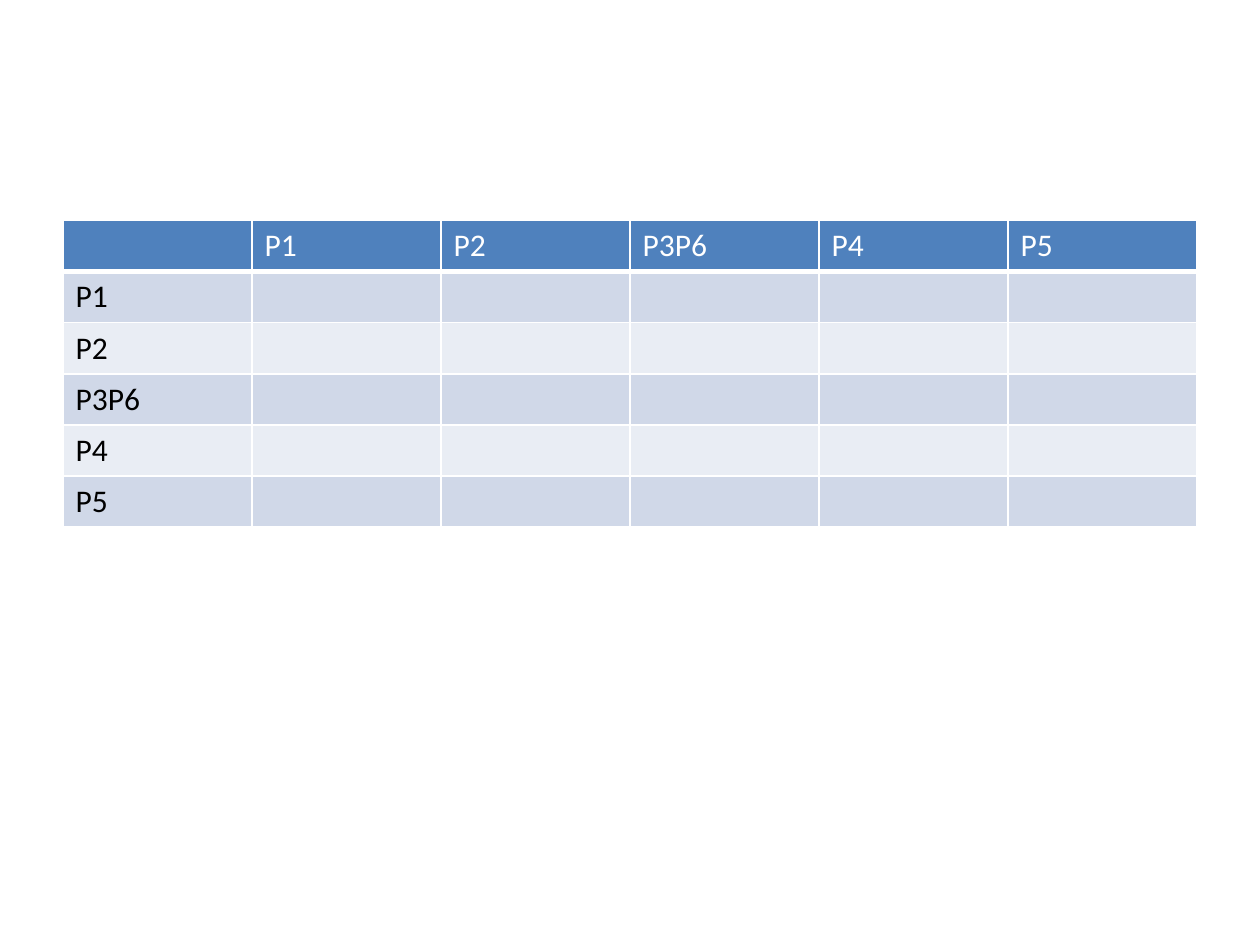
from lxml import etree
from pptx import Presentation
from pptx.dml.color import RGBColor
from pptx.oxml.ns import qn
from pptx.util import Inches, Pt

COLORS = {
    "header": "4F81BD",
    "band_dark": "D0D8E8",
    "band_light": "E9EDF4",
    "white": "FFFFFF",
    "black": "000000",
}
FONT = "Calibri"
PROCESSES = ["P1", "P2", "P3P6", "P4", "P5"]


def color(name):
    return RGBColor.from_string(COLORS[name])


def set_borders(cell, bottom_width):
    """Draw white cell borders; the lines must come before the fill."""
    properties = cell._tc.get_or_add_tcPr()
    widths = {"a:lnL": 1, "a:lnR": 1, "a:lnT": 1, "a:lnB": bottom_width}
    for side, width in widths.items():
        line = etree.SubElement(properties, qn(side), w=str(Pt(width)))
        fill = etree.SubElement(line, qn("a:solidFill"))
        etree.SubElement(fill, qn("a:srgbClr"), val=COLORS["white"])


def style_cell(cell, text, fill, text_color, bottom_width):
    set_borders(cell, bottom_width)
    cell.fill.solid()
    cell.fill.fore_color.rgb = color(fill)
    para = cell.text_frame.paragraphs[0]
    para.font.size = Pt(18)
    if text:
        span = para.add_run()
        span.text = text
        span.font.name = FONT
        span.font.size = Pt(18)
        span.font.bold = False
        span.font.color.rgb = color(text_color)


def add_process_matrix(page, left, top, width, height):
    """Square matrix with the process names along the top and left side."""
    labels = [""] + PROCESSES
    count = len(labels)
    table = page.shapes.add_table(count, count, left, top, width, height).table
    for column in table.columns:
        column.width = width // count
    for row_index, row in enumerate(table.rows):
        row.height = height // count
        is_header = row_index == 0
        if is_header:
            texts = labels
            look = ("header", "white", 3)
        else:
            texts = [labels[row_index]] + [""] * len(PROCESSES)
            band = "band_dark" if row_index % 2 else "band_light"
            look = (band, "black", 1)
        for cell, text in zip(row.cells, texts):
            style_cell(cell, text, *look)


def main():
    deck = Presentation()
    deck.slide_width = Inches(10)
    deck.slide_height = Inches(7.5)
    page = deck.slides.add_slide(deck.slide_layouts[6])
    add_process_matrix(page, Inches(0.5), Inches(1.75), Inches(9), Inches(2.43))
    deck.save("out.pptx")


if __name__ == "__main__":
    main()
